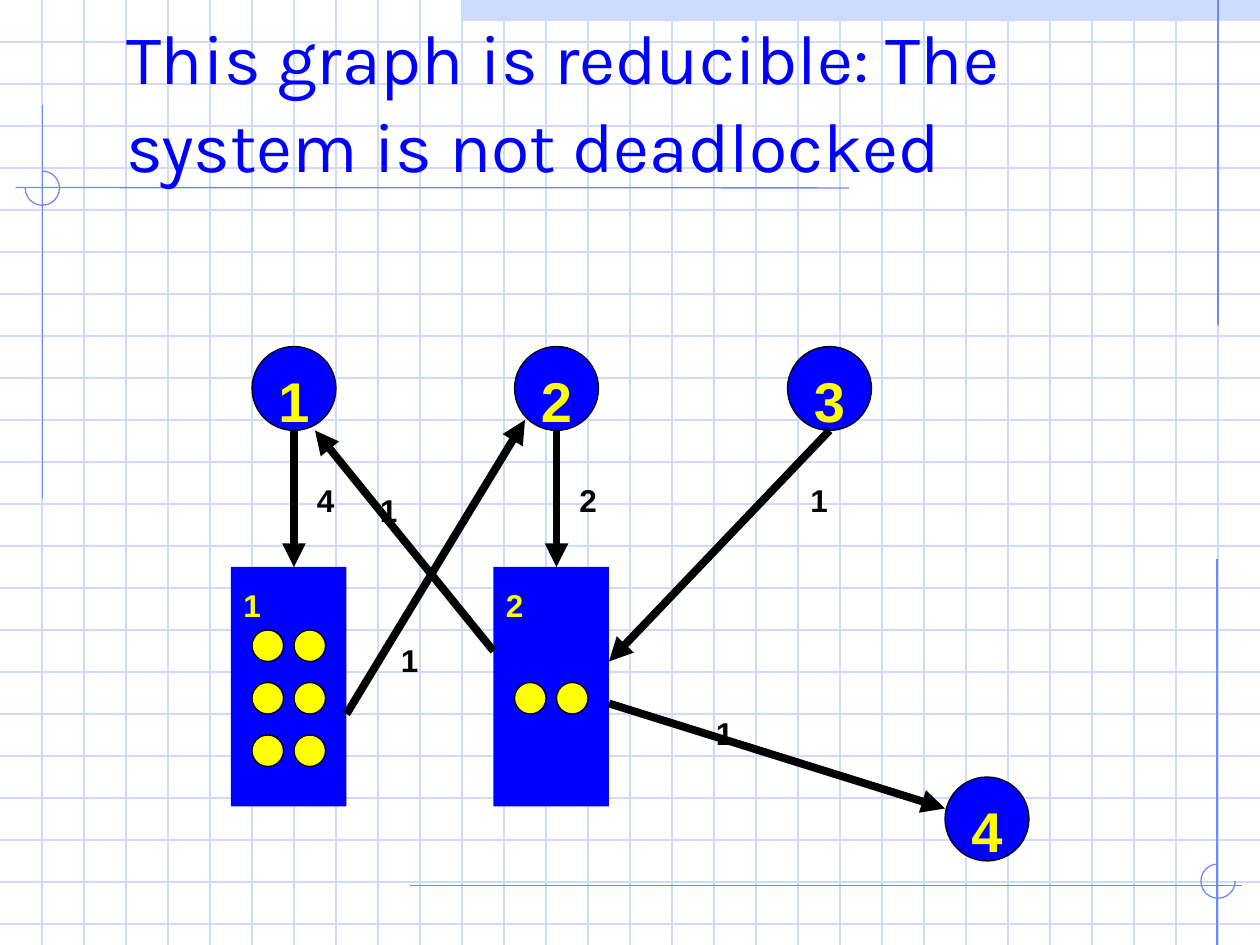
"""Build a slide showing a reducible resource allocation graph."""
from dataclasses import dataclass

from lxml.etree import SubElement
from pptx import Presentation
from pptx.dml.color import RGBColor
from pptx.enum.shapes import MSO_CONNECTOR, MSO_SHAPE
from pptx.enum.text import MSO_ANCHOR, MSO_AUTO_SIZE, PP_ALIGN
from pptx.oxml.ns import qn
from pptx.util import Pt


@dataclass(frozen=True)
class Theme:
    grid: RGBColor = RGBColor(0xCF, 0xDB, 0xFD)
    guide: RGBColor = RGBColor(0x6F, 0x89, 0xF7)
    blue: RGBColor = RGBColor(0x00, 0x00, 0xFF)
    yellow: RGBColor = RGBColor(0xFF, 0xFF, 0x00)
    black: RGBColor = RGBColor(0x00, 0x00, 0x00)
    title_font: str = "Karla"
    body_font: str = "Arial"
    title_size: int = 40
    node_size: int = 32
    label_size: int = 18


theme = Theme()


def write_text(frame, text, *, size, color, font=theme.body_font, bold=True, spacing=1.34,
               align=PP_ALIGN.LEFT, anchor=MSO_ANCHOR.TOP, wrap=True):
    frame.auto_size = MSO_AUTO_SIZE.NONE
    frame.word_wrap = wrap
    frame.vertical_anchor = anchor
    paragraph = frame.paragraphs[0]
    paragraph.alignment = align
    paragraph.line_spacing = spacing
    run = paragraph.add_run()
    run.text = text
    run.font.name = font
    run.font.size = Pt(size)
    run.font.bold = bold
    run.font.color.rgb = color


def add_line(shapes, start, end, color, width=0.75, arrow=False):
    line = shapes.add_connector(MSO_CONNECTOR.STRAIGHT, *map(Pt, start + end))
    line.line.color.rgb = color
    line.line.width = Pt(width)
    properties = line._element.spPr
    if arrow:
        SubElement(properties.find(qn("a:ln")), qn("a:tailEnd"), type="triangle")
    SubElement(properties, qn("a:effectLst"))


presentation = Presentation()
presentation.slide_width = Pt(720)
presentation.slide_height = Pt(540)
slide = presentation.slides.add_slide(presentation.slide_layouts[5])
shapes = slide.shapes

band = shapes.add_shape(MSO_SHAPE.RECTANGLE, Pt(264), Pt(0), Pt(456), Pt(12))
band.shadow.inherit = False
band.fill.solid()
band.fill.fore_color.rgb = theme.grid
band.line.fill.background()

for y in range(24, 540, 24):
    add_line(shapes, (0, y), (720, y), theme.grid)
for x in range(24, 720, 24):
    add_line(shapes, (x, 0), (x, 540), theme.grid)

guides = [
    ((696, 0), (696, 186)),
    ((24.3, 60), (24.3, 284.4)),
    ((485.3, 107.4), (9, 107.2)),
    ((234, 506), (709.9, 506)),
    ((695.5, 319.7), (695.5, 546.5)),
]
for start, end in guides:
    add_line(shapes, start, end, theme.guide)

for left, top, start_angle, end_angle in [(14.4, 97.7, 270, 180), (686.2, 493.7, 0, 270)]:
    arc = shapes.add_shape(MSO_SHAPE.ARC, Pt(left), Pt(top), Pt(19.6), Pt(19.6))
    arc.shadow.inherit = False
    arc.adjustments[0] = start_angle * 0.6
    arc.adjustments[1] = end_angle * 0.6
    arc.fill.background()
    arc.line.color.rgb = theme.guide
    arc.line.width = Pt(0.75)

title = shapes.title
title.left, title.top, title.width, title.height = Pt(72), Pt(0), Pt(612), Pt(113)
frame = title.text_frame
frame.margin_left = frame.margin_top = frame.margin_right = frame.margin_bottom = 0
write_text(frame, "This graph is reducible: The system is not deadlocked", size=theme.title_size,
           color=theme.blue, font=theme.title_font, bold=False, spacing=1.04,
           anchor=MSO_ANCHOR.MIDDLE)
shapes._spTree.append(title._element)

for name, left in [("1", 132), ("2", 282)]:
    resource = shapes.add_shape(MSO_SHAPE.RECTANGLE, Pt(left), Pt(324), Pt(66), Pt(136.8))
    resource.shadow.inherit = False
    resource.fill.solid()
    resource.fill.fore_color.rgb = theme.blue
    resource.line.fill.background()
    write_text(resource.text_frame, name, size=theme.label_size, color=theme.yellow)

processes = [("1", 144, 198), ("2", 294, 198), ("3", 450, 198), ("4", 540, 444)]
circles = [(name, left, top, 48, theme.blue) for name, left, top in processes]
for first_left, tops in [(144, (360, 390, 420)), (294, (390,))]:
    circles += [("", first_left + 24 * column, top, 18, theme.yellow)
                for top in tops for column in range(2)]
for name, left, top, diameter, color in circles:
    circle = shapes.add_shape(MSO_SHAPE.OVAL, Pt(left), Pt(top), Pt(diameter), Pt(diameter))
    circle.shadow.inherit = False
    circle.fill.solid()
    circle.fill.fore_color.rgb = color
    circle.line.color.rgb = theme.black
    circle.line.width = Pt(0.75)
    if name:
        write_text(circle.text_frame, name, size=theme.node_size, color=theme.yellow,
                   align=PP_ALIGN.CENTER, anchor=MSO_ANCHOR.MIDDLE, wrap=False)

edges = [
    ((168, 246), (168, 324), "4", (174, 264)),
    ((318, 246), (318, 324), "2", (324, 264)),
    ((474, 246), (348, 378), "1", (456, 264)),
    ((282, 372), (180, 246), "1", (210, 270)),
    ((348, 402), (540, 462), "1", (402, 397.2)),
    ((198, 408), (300, 240), "1", (222, 355.2)),
]
for start, end, units, (left, top) in edges:
    add_line(shapes, start, end, theme.black, width=4.5, arrow=True)
    label = shapes.add_textbox(Pt(left), Pt(top), Pt(36), Pt(28.8))
    write_text(label.text_frame, units, size=theme.label_size, color=theme.black)

presentation.save("out.pptx")
